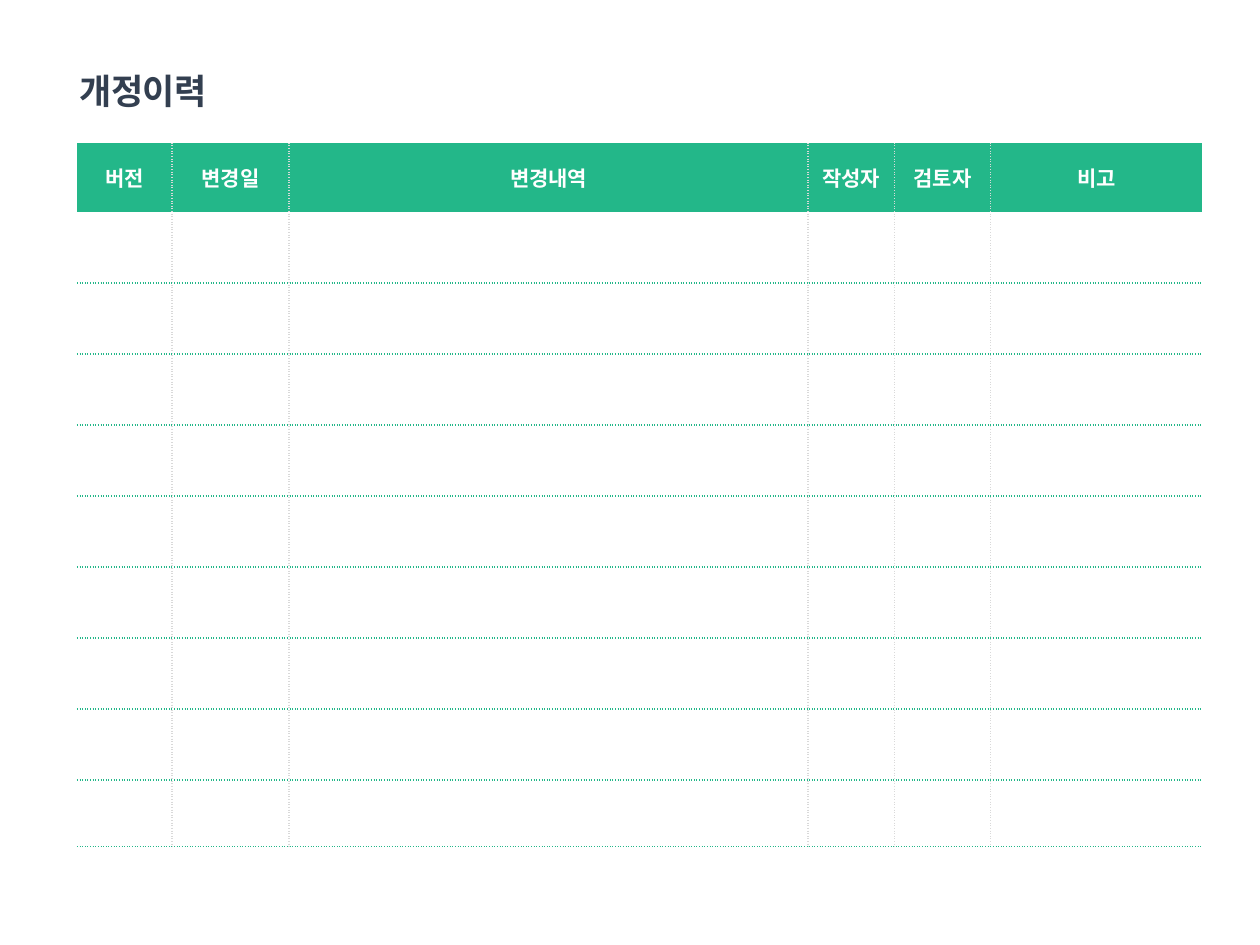
from lxml import etree
from pptx import Presentation
from pptx.dml.color import RGBColor
from pptx.enum.text import MSO_ANCHOR, MSO_AUTO_SIZE, PP_ALIGN
from pptx.oxml.ns import qn
from pptx.util import Cm, Pt

CENTER = PP_ALIGN.CENTER
MIDDLE = MSO_ANCHOR.MIDDLE
GROW = MSO_AUTO_SIZE.SHAPE_TO_FIT_TEXT
GREEN, GRAY, NAVY, WHITE = "23B789", "D9D9D9", "333F50", "FFFFFF"
KOREAN_FONT = "Noto Sans CJK KR"


def style_text(paragraph, size, color, font_name):
    """Make the text bold and give Hangul its own East Asian font."""
    font = paragraph.font
    font.size = Pt(size)
    font.bold = True
    font.name = font_name
    font.color.rgb = RGBColor.from_string(color)
    for run in paragraph.runs:
        properties = run.font._element
        etree.SubElement(properties, qn("a:ea"), typeface=KOREAN_FONT)


def add_border(cell, side, color, dash):
    """Draw one side (L, R, T or B); without a color the side is left bare."""
    properties = cell._tc.get_or_add_tcPr()
    line = etree.SubElement(properties, qn(f"a:ln{side}"), w=str(Pt(1)))
    if color is None:
        etree.SubElement(line, qn("a:noFill"))
        return
    fill = etree.SubElement(line, qn("a:solidFill"))
    etree.SubElement(fill, qn("a:srgbClr"), val=color)
    etree.SubElement(line, qn("a:prstDash"), val=dash)


presentation = Presentation()
presentation.slide_width = Cm(25.4)
presentation.slide_height = Cm(19.05)
slide = presentation.slides.add_slide(presentation.slide_layouts[6])

# Title
title = slide.shapes.add_textbox(Cm(1.35), Cm(1.27), Cm(7.75), Cm(1.12))
title.text_frame.word_wrap = True
title.text_frame.auto_size = GROW
paragraph = title.text_frame.paragraphs[0]
paragraph.text = "개정이력"
style_text(paragraph, 20, NAVY, KOREAN_FONT)
paragraph.runs[0].font._element.set("spc", "-30")

# Revision table: one header row and nine empty rows
headers = ["버전", "변경일", "변경내역", "작성자", "검토자", "비고"]
column_widths = [1.92, 2.36, 10.46, 1.74, 1.94, 4.26]
row_heights = [1.4] + [1.43] * 8 + [1.35]
last_column = len(headers) - 1

table = slide.shapes.add_table(
    len(row_heights), len(headers), Cm(1.55), Cm(2.88),
    Cm(sum(column_widths)), Cm(sum(row_heights))).table
table.first_row = False
table.horz_banding = False
for column, width in zip(table.columns, column_widths):
    column.width = Cm(width)
for row, height in zip(table.rows, row_heights):
    row.height = Cm(height)

for row_index, row in enumerate(table.rows):
    for column_index, cell in enumerate(row.cells):
        add_border(cell, "L", GRAY if column_index > 0 else None, "dot")
        add_border(cell, "R", GRAY if column_index < last_column else None, "dot")
        add_border(cell, "T", GREEN if row_index > 1 else None, "sysDot")
        add_border(cell, "B", GREEN if row_index > 0 else None, "sysDot")
        if row_index > 0:
            cell.fill.background()
            continue
        cell.fill.solid()
        cell.fill.fore_color.rgb = RGBColor.from_string(GREEN)
        cell.margin_left = cell.margin_right = 0
        cell.margin_top = cell.margin_bottom = 0
        cell.vertical_anchor = MIDDLE
        header = headers[column_index]
        paragraph = cell.text_frame.paragraphs[0]
        paragraph.text = header
        paragraph.alignment = CENTER
        style_text(paragraph, 12, WHITE,
                   KOREAN_FONT if header == "검토자" else "Calibri")

presentation.save("out.pptx")
